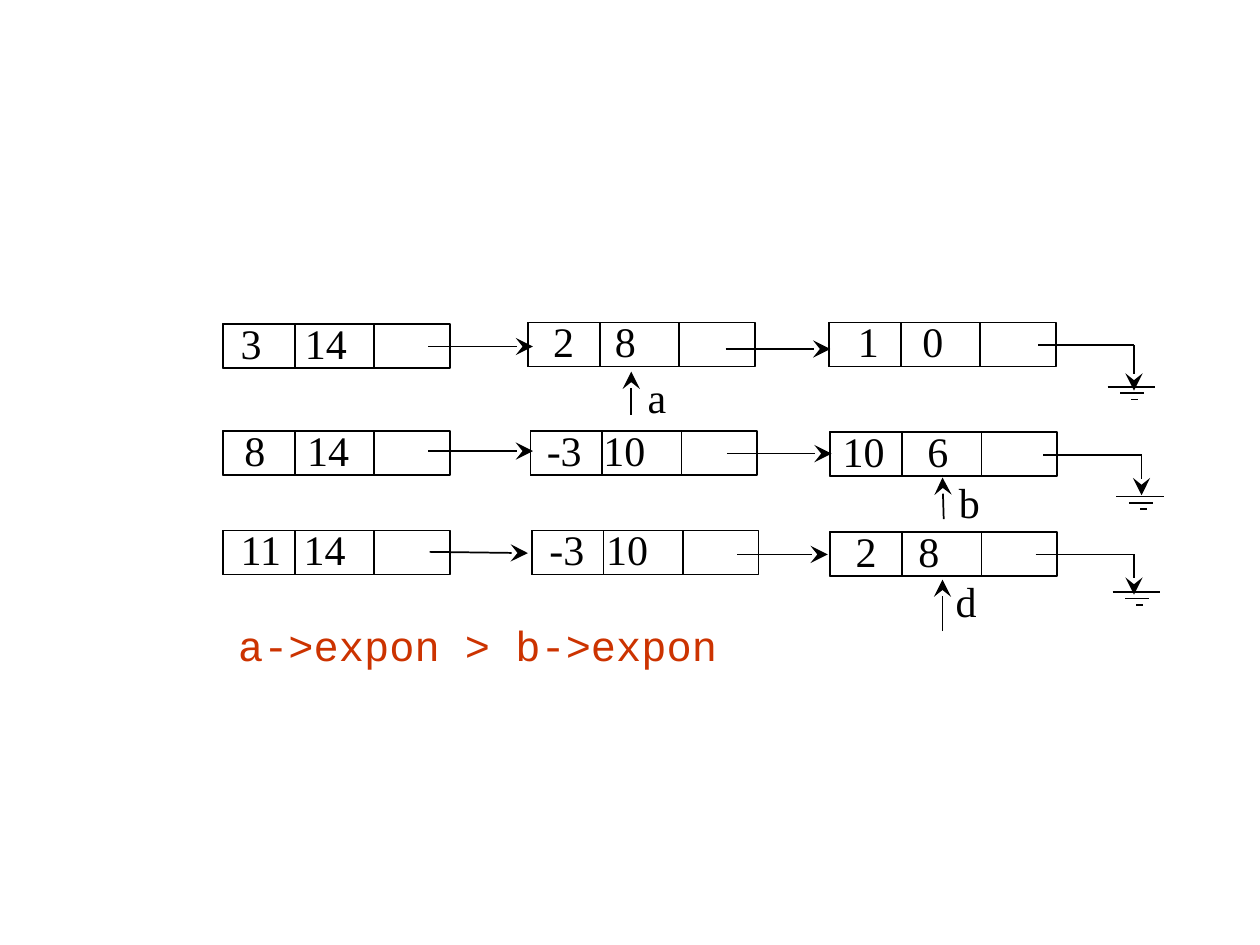
"""Build a slide showing polynomial addition with three linked lists."""
from lxml import etree
from pptx import Presentation
from pptx.dml.color import RGBColor
from pptx.enum.shapes import MSO_CONNECTOR, MSO_SHAPE
from pptx.enum.text import MSO_ANCHOR, PP_ALIGN
from pptx.oxml.ns import qn
from pptx.util import Inches, Pt

STRAIGHT = MSO_CONNECTOR.STRAIGHT
RECTANGLE = MSO_SHAPE.RECTANGLE
TOP = MSO_ANCHOR.TOP
LEFT, RIGHT = PP_ALIGN.LEFT, PP_ALIGN.RIGHT
BLACK, RED = "000000", "CC3300"
SERIF, MONO = "Times New Roman", "Courier New"
COEF_WIDTH, EXPON_WIDTH, NODE_WIDTH, NODE_HEIGHT = 0.57, 0.63, 1.8, 0.35


def write(shape, lines, indent=0.01, space=0.5, leading=25):
    """Fill a shape with (text, font, colour, alignment) lines."""
    frame = shape.text_frame
    frame.word_wrap = True
    frame.vertical_anchor = TOP
    frame.margin_left = Inches(indent)
    frame.margin_top = frame.margin_right = frame.margin_bottom = 0
    for index, (text, font, colour, alignment) in enumerate(lines):
        para = frame.add_paragraph() if index else frame.paragraphs[0]
        para.text = text
        para.alignment = alignment
        para.line_spacing = Pt(leading)
        para.space_before = Pt(0 if index else space)
        para.font.size = Pt(24)
        para.font.name = font
        para.font.color.rgb = RGBColor.from_string(colour)


def draw_line(x1, y1, x2, y2, arrow=False):
    """Draw a thin black line, with an arrowhead at its end if asked."""
    line = page.shapes.add_connector(STRAIGHT, Inches(x1), Inches(y1), Inches(x2), Inches(y2))
    line.line.width = Pt(1)
    line.line.color.rgb = RGBColor.from_string(BLACK)
    if arrow:
        etree.SubElement(line.line._get_or_add_ln(), qn("a:tailEnd"), type="stealth", w="lg", len="lg")
    etree.SubElement(line._element.spPr, qn("a:effectLst"))


deck = Presentation()
deck.slide_width, deck.slide_height = Inches(10), Inches(7.5)
page = deck.slides.add_slide(deck.slide_layouts[6])

nodes = [
    (1.77, 2.57, "3", 0.14, "14", 0.08),
    (4.19, 2.56, "2", 0.2, "8", 0.12),
    (6.58, 2.56, "1", 0.23, "0", 0.17),
    (1.77, 3.42, "8", 0.17, "14", 0.1),
    (4.21, 3.42, "-3", 0.13, "10", 0.01),
    (6.59, 3.43, "10", 0.1, "6", 0.2),
    (1.77, 4.21, "11", 0.14, "14", 0.07),
    (4.22, 4.21, "-3", 0.14, "10", 0.02),
    (6.59, 4.22, "2", 0.2, "8", 0.13),
]
for left, top, coef, coef_indent, expon, expon_indent in nodes:
    cells = [
        (left, COEF_WIDTH, coef, coef_indent),
        (left + COEF_WIDTH, EXPON_WIDTH, expon, expon_indent),
        (left, NODE_WIDTH, "", 0),
    ]
    for cell_left, width, text, indent in cells:
        cell = page.shapes.add_shape(
            RECTANGLE, Inches(cell_left), Inches(top), Inches(width), Inches(NODE_HEIGHT))
        cell.shadow.inherit = False
        cell.fill.background()
        cell.line.width = Pt(1)
        cell.line.color.rgb = RGBColor.from_string(BLACK)
        if text:
            write(cell, [(text, SERIF, BLACK, LEFT)], indent)

arrows = [
    (3.4, 2.75, 4.23, 2.75), (5.76, 2.77, 6.59, 2.77),
    (3.4, 3.58, 4.23, 3.58), (5.77, 3.6, 6.6, 3.6),
    (3.41, 4.38, 4.19, 4.39), (5.85, 4.4, 6.57, 4.4),
    (5.01, 3.29, 5.01, 2.95), (7.49, 4.12, 7.48, 3.79), (7.48, 5.01, 7.48, 4.6),
]
for arrow in arrows:
    draw_line(*arrow, arrow=True)

tails = [
    (8.24, 2.74, 9, 3.1, 8.79, 3.07),
    (8.28, 3.61, 9.06, 3.93, 8.86, 3.94),
    (8.22, 4.4, 9, 4.72, 8.83, 4.7),
]
for start, level, drop, tip, ground_left, ground_top in tails:
    draw_line(start, level, drop, level)
    draw_line(drop, level, drop, tip, arrow=True)
    for step, (offset, length) in enumerate([(0, 0.38), (0.1, 0.19), (0.19, 0.05)]):
        bar_left, bar_top = ground_left + offset, ground_top + 0.05 * step
        draw_line(bar_left, bar_top, bar_left + length, bar_top)

labels = [
    (5.13, 2.96, 0.25, 0.43, 28, [("a", SERIF, BLACK, LEFT)]),
    (7.6, 3.79, 0.25, 0.43, 28, [("b", SERIF, BLACK, LEFT)]),
    (1.88, 4.62, 5.87, 0.72, 25,
     [("d", SERIF, BLACK, RIGHT), ("a->expon > b->expon", MONO, RED, LEFT)]),
]
for left, top, width, height, leading, lines in labels:
    box = page.shapes.add_textbox(Inches(left), Inches(top), Inches(width), Inches(height))
    write(box, lines, space=1, leading=leading)

deck.save("out.pptx")
